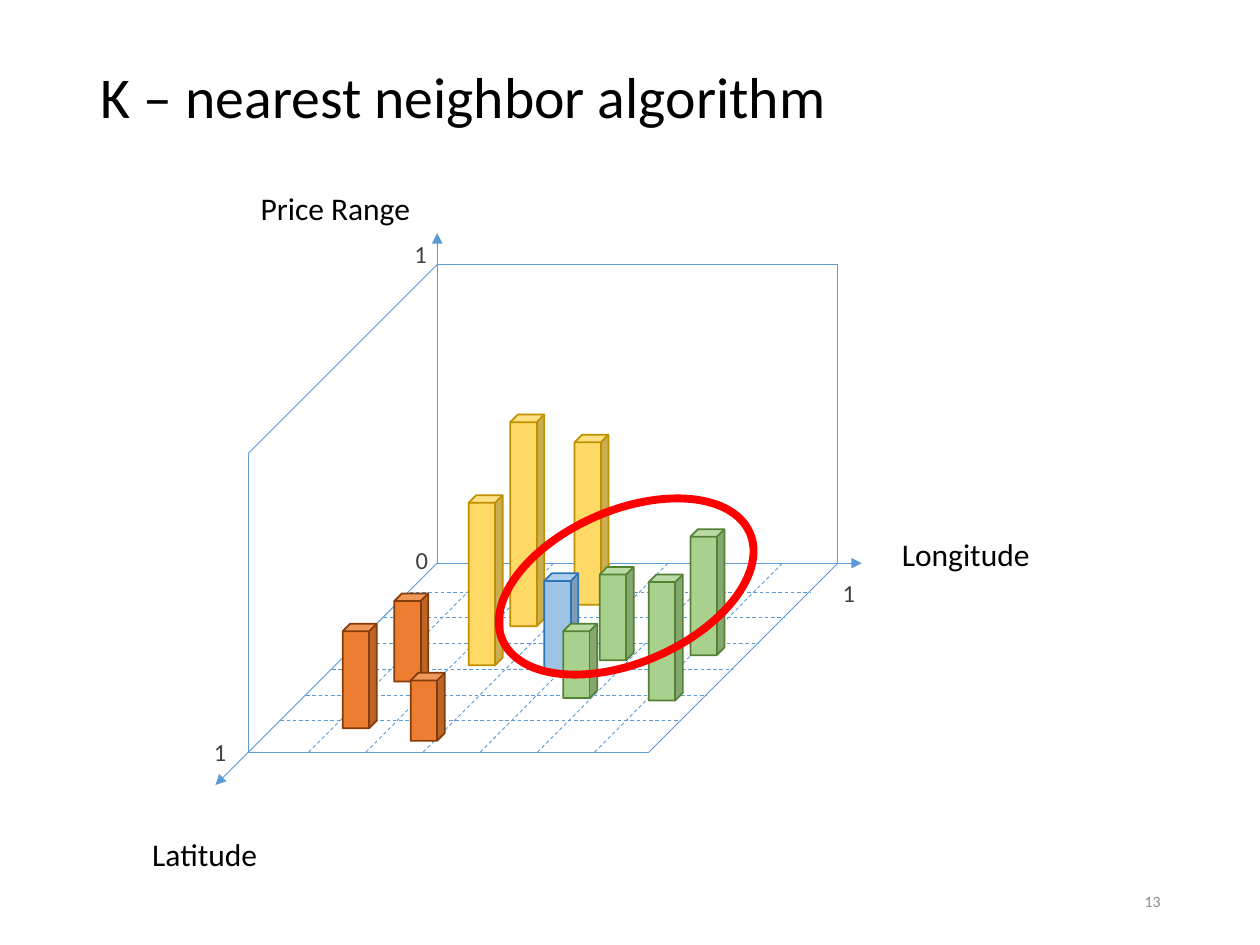
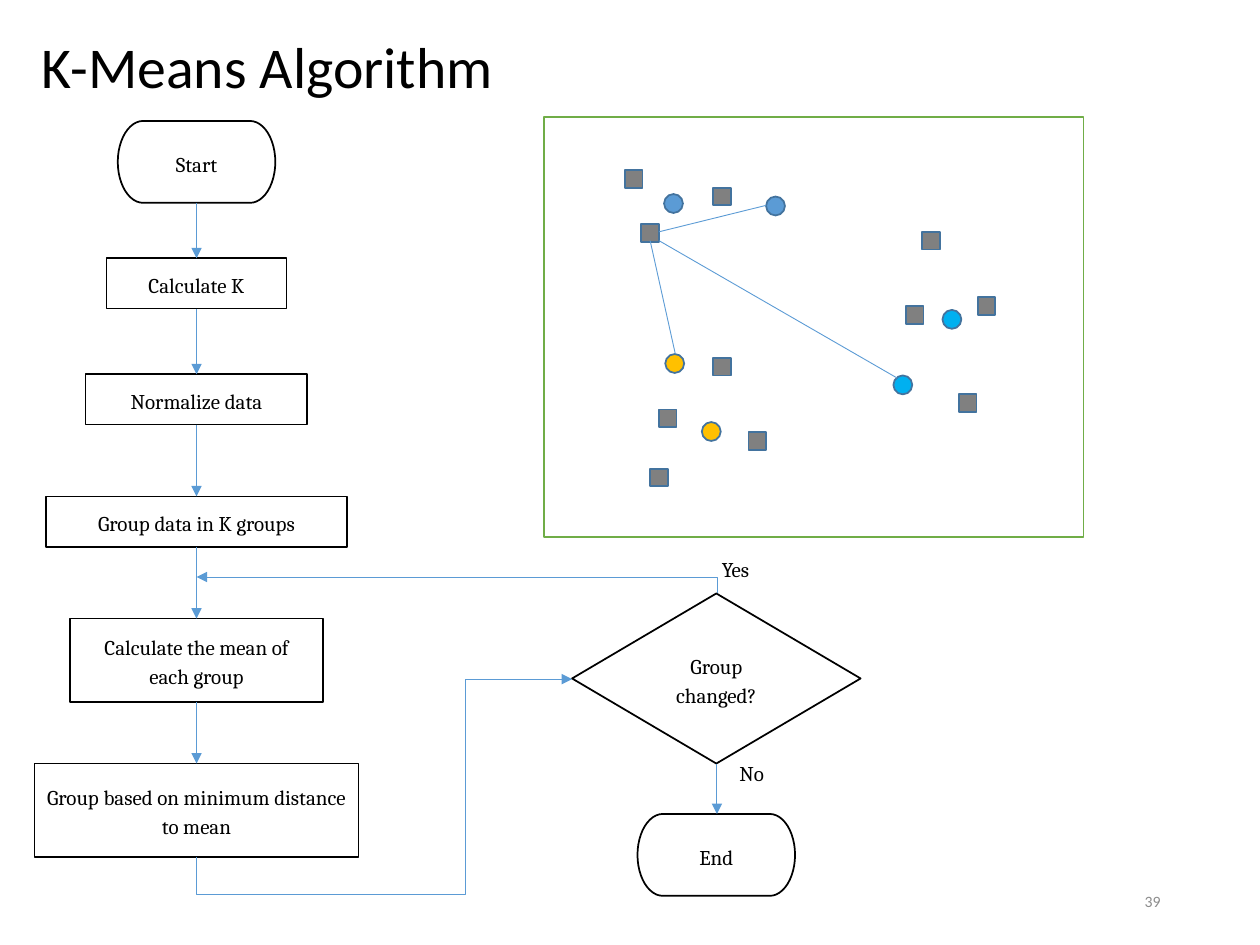
from lxml.etree import SubElement
from pptx import Presentation
from pptx.dml.color import RGBColor
from pptx.enum.dml import MSO_LINE_DASH_STYLE as Dash
from pptx.enum.shapes import MSO_CONNECTOR as Link, MSO_SHAPE as Shape
from pptx.enum.text import MSO_ANCHOR as Anchor, PP_ALIGN as Align
from pptx.oxml.ns import qn
from pptx.util import Inches, Pt

BLACK = RGBColor(0x00, 0x00, 0x00)
WHITE = RGBColor(0xFF, 0xFF, 0xFF)
DARK_GREY = RGBColor(0x40, 0x40, 0x40)
MID_GREY = RGBColor(0x80, 0x80, 0x80)
PALE_GREY = RGBColor(0x8C, 0x8C, 0x8C)
BLUE = RGBColor(0x5B, 0x9B, 0xD5)
MARKER_EDGE = RGBColor(0x43, 0x73, 0x9E)
SKY = RGBColor(0x00, 0xB0, 0xF0)
AMBER = RGBColor(0xFF, 0xC0, 0x00)
RED = RGBColor(0xFF, 0x00, 0x00)
FRAME_GREEN = RGBColor(0x70, 0xAD, 0x47)

# Bar colours: fill, edge
ORANGE_BAR = RGBColor(0xED, 0x7D, 0x31), RGBColor(0x84, 0x3C, 0x0B)
YELLOW_BAR = RGBColor(0xFF, 0xD9, 0x66), RGBColor(0xBF, 0x90, 0x00)
GREEN_BAR = RGBColor(0xA9, 0xD1, 0x8E), RGBColor(0x54, 0x82, 0x35)
BLUE_BAR = RGBColor(0x9D, 0xC3, 0xE6), RGBColor(0x2E, 0x75, 0xB6)

# Text styles: font values, colour, paragraph values
TITLE = {"name": "Calibri", "size": Pt(33)}, BLACK, {"line_spacing": 0.9}
NUMBER = {"name": "Calibri", "size": Pt(9)}, PALE_GREY, {"alignment": Align.RIGHT}
AXIS = {"name": "Calibri", "size": Pt(18)}, BLACK, {}
TICK = {"name": "Calibri", "size": Pt(14)}, DARK_GREY, {}
FLOW_FONT = {"name": "Cambria", "size": Pt(12)}
FLOW_SPACING = {"line_spacing": 1.15, "space_after": Pt(10)}
BRANCH = FLOW_FONT, BLACK, FLOW_SPACING
STEP = FLOW_FONT, BLACK, {**FLOW_SPACING, "alignment": Align.CENTER}


def apply(target, values):
    for name, value in values.items():
        setattr(target, name, value)


class Deck:
    """Holds the presentation, its drawing style and the slide being filled."""

    def __init__(self):
        self.prs = Presentation()
        apply(self.prs, {"slide_width": Inches(10), "slide_height": Inches(7.5)})
        self.shapes = None

    def new_slide(self, title, title_box, number):
        self.shapes = self.prs.slides.add_slide(self.prs.slide_layouts[6]).shapes
        self.text(title, title_box, TITLE, Anchor.MIDDLE, wrap=True)
        self.text(number, (7.06, 6.95, 2.25, 0.4), NUMBER, Anchor.MIDDLE, wrap=True)

    def fill_frame(self, frame, words, style, anchor, wrap):
        font_values, colour, paragraph_values = style
        apply(frame, {"word_wrap": wrap, "vertical_anchor": anchor})
        paragraph = frame.paragraphs[0]
        apply(paragraph, paragraph_values)
        run = paragraph.add_run()
        run.text = words
        apply(run.font, font_values)
        run.font.color.rgb = colour

    def text(self, words, box, style, anchor=Anchor.TOP, wrap=False):
        frame = self.shapes.add_textbox(*map(Inches, box)).text_frame
        self.fill_frame(frame, words, style, anchor, wrap)

    def shape(self, kind, box, fill, edge, weight=1, words=None):
        shape = self.shapes.add_shape(kind, *map(Inches, box))
        shape.shadow.inherit = False
        if fill is None:
            shape.fill.background()
        else:
            shape.fill.solid()
            shape.fill.fore_color.rgb = fill
        shape.line.color.rgb = edge
        shape.line.width = Pt(weight)
        if words:
            self.fill_frame(shape.text_frame, words, STEP, Anchor.MIDDLE, True)
        return shape

    def bar(self, left, top, height, colours):
        self.shape(Shape.CUBE, (left, top, 0.27, height), *colours).adjustments[0] = 0.224

    def line(self, start, end, arrow=False, dashed=False, kind=Link.STRAIGHT):
        link = self.shapes.add_connector(kind, *map(Inches, (*start, *end)))
        link.line.color.rgb = BLUE
        link.line.width = Pt(0.5)
        if dashed:
            link.line.dash_style = Dash.DASH
        properties = link._element.spPr
        if arrow:
            SubElement(properties.find(qn("a:ln")), qn("a:tailEnd"), type="triangle")
        SubElement(properties, qn("a:effectLst"))
        return properties

    def turned_arrow(self, start, end, preset, quarter_turns, flips, bends=()):
        """Draw a bent arrow whose box is swapped in width and height by a quarter turn."""
        (x1, y1), (x2, y2) = start, end
        middle_x, middle_y = (x1 + x2) / 2, (y1 + y2) / 2
        half_w, half_h = abs(y2 - y1) / 2, abs(x2 - x1) / 2
        properties = self.line((middle_x - half_w, middle_y - half_h),
                               (middle_x + half_w, middle_y + half_h),
                               arrow=True, kind=Link.ELBOW)
        frame = properties.find(qn("a:xfrm"))
        frame.set("rot", str(quarter_turns * 5400000))
        for flip in flips:
            frame.set(flip, "1")
        geometry = properties.find(qn("a:prstGeom"))
        geometry.set("prst", preset)
        guides = geometry.find(qn("a:avLst"))
        if guides is None:
            guides = SubElement(geometry, qn("a:avLst"))
        for index, bend in enumerate(bends, 1):
            SubElement(guides, qn("a:gd"), name=f"adj{index}",
                       fmla=f"val {round(bend * 100000)}")


def draw_neighbor_space(deck):
    deck.new_slide("K – nearest neighbor algorithm", (0.7, 0.07, 8.62, 1.45), "13")

    for i in range(6):
        row_x, row_y = 3.25 - 0.205 * i, 4.7 + 0.204 * i
        deck.line((row_x, row_y), (row_x + 3.18, row_y), dashed=True)
        column_x = 2.45 + 0.454 * i
        deck.line((column_x, 5.97), (column_x + 1.49, 4.47), dashed=True)

    origin = (3.47, 4.47)
    for tip in ((3.47, 1.85), (1.71, 6.23), (6.84, 4.47)):
        deck.line(origin, tip, arrow=True)

    front_left, front_right = (1.97, 5.97), (5.15, 5.97)
    back_right, top_right = (6.65, 4.47), (6.65, 2.1)
    top_back, top_front = (3.47, 2.1), (1.97, 3.6)
    outline = (top_front, front_left, front_right, back_right, top_right, top_back, top_front)
    for start, end in zip(outline, outline[1:]):
        deck.line(start, end)

    for name, left, top, width in (("Latitude", 1.11, 6.58, 1.05),
                                   ("Longitude", 7.06, 4.2, 1.23),
                                   ("Price Range", 1.97, 1.45, 1.4)):
        deck.text(name, (left, top, width, 0.4), AXIS)
    for value, left, top in (("0", 3.2, 4.28), ("1", 1.6, 5.8),
                             ("1", 3.19, 1.85), ("1", 6.59, 4.54)):
        deck.text(value, (left, top, 0.3, 0.34), TICK)

    for left, top, height, colours in (
            (2.72, 4.95, 0.83, ORANGE_BAR), (3.13, 4.71, 0.7, ORANGE_BAR),
            (3.26, 5.34, 0.54, ORANGE_BAR), (4.05, 3.29, 1.68, YELLOW_BAR),
            (4.56, 3.45, 1.35, YELLOW_BAR), (3.72, 3.93, 1.35, YELLOW_BAR),
            (4.76, 4.5, 0.74, GREEN_BAR), (5.48, 4.2, 1, GREEN_BAR),
            (5.15, 4.56, 1, GREEN_BAR), (4.32, 4.55, 0.78, BLUE_BAR),
            (4.47, 4.95, 0.59, GREEN_BAR)):
        deck.bar(left, top, height, colours)

    neighborhood = deck.shape(Shape.OVAL, (3.9, 4.05, 2.14, 1.21), None, RED, 4.5)
    neighborhood.rotation = 336.6


def draw_flowchart(deck):
    spine = 1.56
    steps = ((Shape.FLOWCHART_TERMINATOR, 0.96, 1.25, 0.65, "Start"),
             (Shape.RECTANGLE, 2.05, 1.43, 0.4, "Calculate K"),
             (Shape.RECTANGLE, 2.97, 1.76, 0.4, "Normalize data"),
             (Shape.RECTANGLE, 3.94, 2.39, 0.4, "Group data in K groups"),
             (Shape.RECTANGLE, 4.91, 2.01, 0.66, "Calculate the mean of each group"),
             (Shape.RECTANGLE, 6.06, 2.57, 0.74, "Group based on minimum distance to mean"))
    for kind, top, width, height, words in steps:
        deck.shape(kind, (spine - width / 2, top, width, height), WHITE, BLACK, words=words)
    for (_, top, _, height, _), (_, next_top, *_) in zip(steps, steps[1:]):
        deck.line((spine, top + height), (spine, next_top), arrow=True)

    deck.shape(Shape.FLOWCHART_DECISION, (4.54, 4.71, 2.29, 1.35), WHITE, BLACK,
               words="Group changed?")
    deck.shape(Shape.FLOWCHART_TERMINATOR, (5.06, 6.46, 1.25, 0.65), WHITE, BLACK, words="End")
    deck.turned_arrow((spine, 6.8), (4.54, 5.39), "bentConnector4", 1,
                      ("flipH", "flipV"), (-0.215, 0.715))
    deck.line((5.69, 6.06), (5.69, 6.46), arrow=True)
    deck.turned_arrow((5.69, 4.71), (spine, 4.58), "bentConnector2", 3, ("flipV",))
    deck.text("Yes", (5.63, 4.34, 0.55, 0.49), BRANCH)
    deck.text("No", (5.77, 5.96, 0.49, 0.49), BRANCH)


def draw_clusters(deck):
    deck.shape(Shape.RECTANGLE, (4.32, 0.93, 4.28, 3.33), WHITE, FRAME_GREEN)
    for left, top in ((4.96, 1.35), (5.09, 1.78), (5.66, 1.49), (7.32, 1.84),
                      (7.19, 2.43), (7.76, 2.36), (7.61, 3.13), (5.66, 2.84),
                      (5.23, 3.25), (5.94, 3.43), (5.16, 3.72)):
        deck.shape(Shape.RECTANGLE, (left, top, 0.14, 0.14), MID_GREY, MARKER_EDGE)
    for left, top, colour in ((6.08, 1.56, BLUE), (5.28, 2.81, AMBER), (7.09, 2.98, SKY),
                              (5.27, 1.54, BLUE), (7.48, 2.46, SKY), (5.57, 3.35, AMBER)):
        deck.shape(Shape.OVAL, (left, top, 0.15, 0.15), colour, MARKER_EDGE)
    for point, mean in (((5.23, 1.84), (6.08, 1.63)), ((5.16, 1.91), (5.36, 2.81)),
                        ((5.23, 1.91), (7.12, 3))):
        deck.line(point, mean)


def main():
    deck = Deck()
    draw_neighbor_space(deck)
    deck.new_slide("K-Means Algorithm", (0.23, 0.17, 6.94, 0.76), "39")
    draw_flowchart(deck)
    draw_clusters(deck)
    deck.prs.save("out.pptx")


if __name__ == "__main__":
    main()
